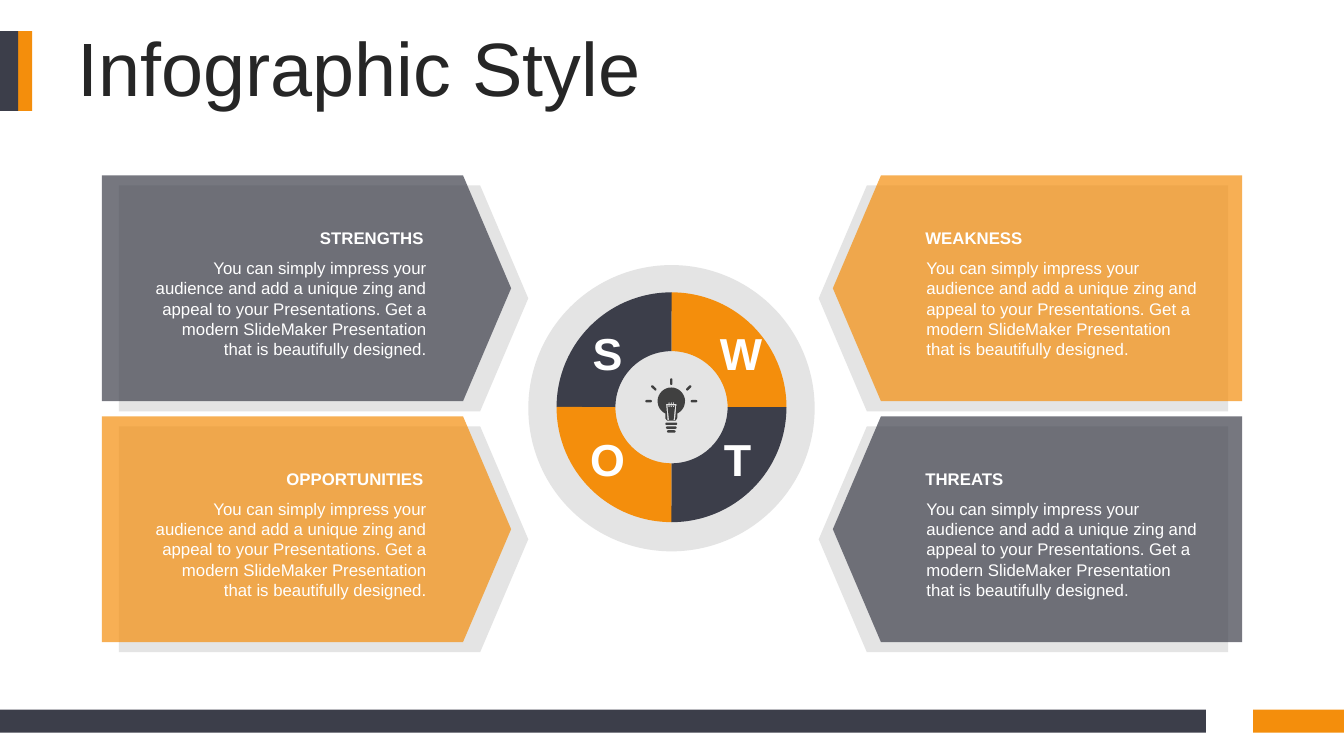
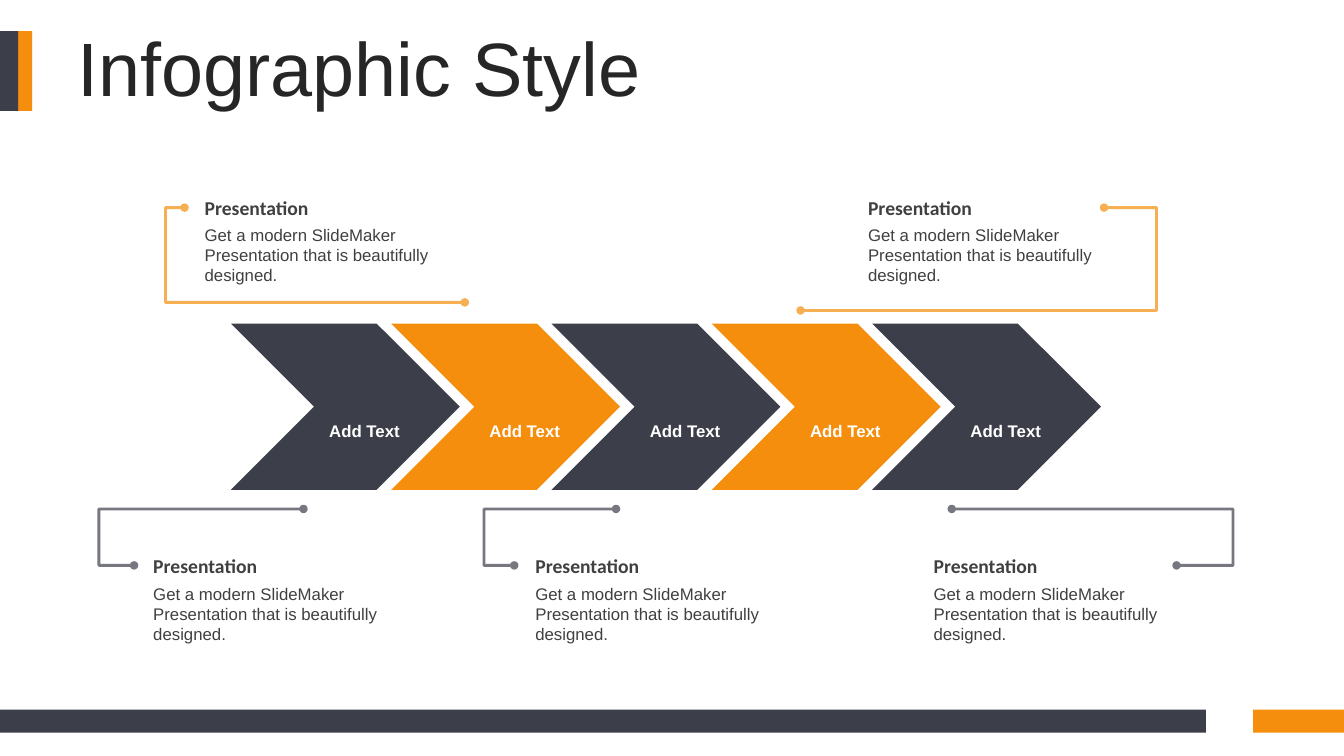
from math import cos, radians, sin

from lxml.etree import SubElement
from pptx import Presentation
from pptx.dml.color import RGBColor
from pptx.enum.shapes import MSO_CONNECTOR, MSO_SHAPE
from pptx.enum.text import MSO_ANCHOR, MSO_AUTO_SIZE, PP_ALIGN
from pptx.oxml.ns import qn
from pptx.util import Pt

PX = 9144
DARK, ORANGE, GREY = "3C3E4A", "F48E0C", "D9D9D9"
INK, TEXT, WHITE = "262626", "404040", "FFFFFF"
LEFT, CENTER, RIGHT = PP_ALIGN.LEFT, PP_ALIGN.CENTER, PP_ALIGN.RIGHT
PITCH = "Get a modern SlideMaker Presentation that is beautifully designed."
STORY = ("You can simply impress your audience and add a unique zing and "
         "appeal to your Presentations. " + PITCH)


def px(*values):
    return [value * PX for value in values]


def color(text):
    return RGBColor.from_string(text)


def fade(shape, alpha):
    tint = shape.element.spPr.find(".//" + qn("a:srgbClr"))
    SubElement(tint, qn("a:alpha"), val=str(alpha * 1000))


def paint(shape, fill, alpha=100):
    shape.shadow.inherit = False
    shape.fill.solid()
    shape.fill.fore_color.rgb = color(fill)
    shape.line.fill.background()
    if alpha < 100:
        fade(shape, alpha)


def draw(slide, kind, box, fill, alpha=100, turn=0, adjust=()):
    shape = slide.shapes.add_shape(kind, *px(*box))
    paint(shape, fill, alpha)
    shape.rotation = turn
    for index, value in enumerate(adjust):
        shape.adjustments[index] = value
    return shape


def add_run(para, text, size, tone, bold=False, font="Arial"):
    run = para.add_run()
    run.text = text
    run.font.name = font
    run.font.size = Pt(size)
    run.font.bold = bold
    run.font.color.rgb = color(tone)


def write(slide, box, text, size, tone, bold=False, font="Arial",
          align=LEFT, inset=10):
    frame = slide.shapes.add_textbox(*px(*box)).text_frame
    frame.word_wrap = True
    frame.auto_size = MSO_AUTO_SIZE.SHAPE_TO_FIT_TEXT
    frame.margin_left = frame.margin_right = inset * PX
    para = frame.paragraphs[0]
    para.alignment = align
    add_run(para, text, size, tone, bold, font)


def bend(slide, start, end, via, tone):
    line = slide.shapes.add_connector(MSO_CONNECTOR.ELBOW, *px(*start, *end))
    line.line.color.rgb = color(tone)
    line.line.width = Pt(2)
    SubElement(line.element.spPr, qn("a:effectLst"))
    fade(line, 70)
    stroke = line.element.spPr.find(qn("a:ln"))
    for tip in ("a:headEnd", "a:tailEnd"):
        SubElement(stroke, qn(tip), type="oval")
    ratio = round((via - start[0]) / (end[0] - start[0]) * 100000)
    shape = line.element.spPr.find(qn("a:prstGeom"))
    guides = shape.find(qn("a:avLst"))
    if guides is None:
        guides = SubElement(shape, qn("a:avLst"))
    SubElement(guides, qn("a:gd"), name="adj1", fmla=f"val {ratio}")


def add_bands(slide, layout):
    for box, tone in (
        ((0, 31, 32, 79), ORANGE),
        ((0, 31, 18, 79), DARK),
        ((1243, 704, 90, 23), ORANGE),
        ((0, 704, 1196, 23), DARK),
    ):
        band = draw(slide, MSO_SHAPE.RECTANGLE, box, tone)
        layout.shapes.element.append(band.element)


def set_title(slide, text):
    title = slide.shapes.title
    title.left, title.top, title.width, title.height = px(67, 32, 1234, 79)
    frame = title.text_frame
    frame.word_wrap = True
    frame.auto_size = MSO_AUTO_SIZE.NONE
    frame.vertical_anchor = MSO_ANCHOR.MIDDLE
    para = frame.paragraphs[0]
    para.alignment = LEFT
    para.line_spacing = 0.9
    add_run(para, text, 54, INK)


def add_panel(slide, top, right, heading, tone):
    shade, front = (812, 826) if right else (118, 101)
    turn = 180 if right else 0
    for left, drop, fill in ((shade, 10, GREY), (front, 0, tone)):
        draw(slide, MSO_SHAPE.PENTAGON, (left, top + drop, 406, 224), fill,
             70, turn, [0.213])
    align = LEFT if right else RIGHT
    head, body = (908, 909) if right else (136, 143)
    write(slide, (body, top + 77, 290, 111), STORY, 12, WHITE, align=align)
    write(slide, (head, top + 47, 294, 30), heading, 12, WHITE, True,
          align=align)


def add_wheel(slide):
    draw(slide, MSO_SHAPE.OVAL, (524, 263, 284, 284), GREY, 70)
    for index, tone in enumerate((DARK, ORANGE, DARK, ORANGE)):
        draw(slide, MSO_SHAPE.BLOCK_ARC, (552, 290, 228, 228), tone,
             turn=index * 90, adjust=[108, 162.088, 0.256])
    for index, letter in enumerate("SWOT"):
        row, col = divmod(index, 2)
        write(slide, (575 + col * 129, 318 + row * 105, 55, 64), letter, 32,
              WHITE, True, align=CENTER)


def arc(x, y, radius, first, last, step):
    return [(x + radius * cos(radians(turn)), y + radius * sin(radians(turn)))
            for turn in range(first, last + 1, step)]


def pill(x, y, length, thick, turn=0):
    reach = (length - thick) / 2
    dx, dy = reach * cos(radians(turn)), reach * sin(radians(turn))
    return (arc(x + dx, y + dy, thick / 2, turn - 90, turn + 90, 30)
            + arc(x - dx, y - dy, thick / 2, turn + 90, turn + 270, 30))


def add_bulb(slide):
    mid, high = 6658, 3980
    glass = arc(mid, high, 136, 116, 424, 11)
    glass += [(mid + 59, 4150), (mid + 42, 4172),
              (mid - 42, 4172), (mid - 59, 4150)]
    half = [(-37, 4168), (-51, 4008), (51, 4008), (37, 4168), (23, 4168),
            (38, 4022), (-38, 4022), (-23, 4168)]
    outlines = [glass, [(mid + x, y) for x, y in half]]
    outlines += [pill(mid + x, y, 16, 11, 90)
                 for x in (-22, 0, 22) for y in (4000, 4031)]
    outlines += [pill(mid, y, length, 24) for y, length in
                 ((4204, 118), (4242, 106), (4280, 86))]
    outlines += [pill(mid + x, high + y, 66, 24, turn) for x, y, turn in (
        (-225, 0, 0), (-173, -132, 45), (0, -194, 90),
        (173, -132, 135), (225, 0, 0))]
    build = None
    for points in outlines:
        if build is None:
            build = slide.shapes.build_freeform(*points[0], scale=PX / 10)
        else:
            build.move_to(*points[0])
        build.add_line_segments(points[1:], close=True)
    paint(build.convert_to_shape(), TEXT)


def add_note(slide, left, top):
    write(slide, (left, top, 223, 34), "Presentation", 14, TEXT, True,
          "Calibri", inset=0)
    write(slide, (left, top + 29, 224, 71), PITCH, 12, TEXT, inset=0)


def build_swot(slide):
    set_title(slide, "Infographic Style")
    for top, right, heading, tone in (
        (174, False, "STRENGTHS", DARK),
        (413, False, "OPPORTUNITIES", ORANGE),
        (174, True, "WEAKNESS", ORANGE),
        (413, True, "THREATS", DARK),
    ):
        add_panel(slide, top, right, heading, tone)
    add_wheel(slide)
    add_bulb(slide)


def build_steps(slide):
    set_title(slide, "Infographic Style")
    for index in range(5):
        shift = index * 159
        draw(slide, MSO_SHAPE.CHEVRON, (229 + shift, 321, 227, 165),
             ORANGE if index % 2 else DARK)
        write(slide, (314 + shift, 412, 95, 30), "Add Text", 12, WHITE, True,
              align=CENTER, inset=0)
    for left, top in ((152, 545), (531, 545), (926, 545),
                      (203, 189), (861, 189)):
        add_note(slide, left, top)
    for start, end, via, tone in (
        ((133, 561), (301, 505), 98, DARK),
        ((510, 561), (611, 505), 480, DARK),
        ((1167, 561), (944, 505), 1223, DARK),
        ((183, 206), (461, 300), 164, ORANGE),
        ((794, 308), (1095, 206), 1147, ORANGE),
    ):
        bend(slide, start, end, via, tone)


def main():
    deck = Presentation()
    deck.slide_width, deck.slide_height = px(1333, 750)
    layout = deck.slide_layouts[5]
    swot, steps = [deck.slides.add_slide(layout) for _ in range(2)]
    add_bands(swot, layout)
    build_swot(swot)
    build_steps(steps)
    deck.save("out.pptx")


if __name__ == "__main__":
    main()
